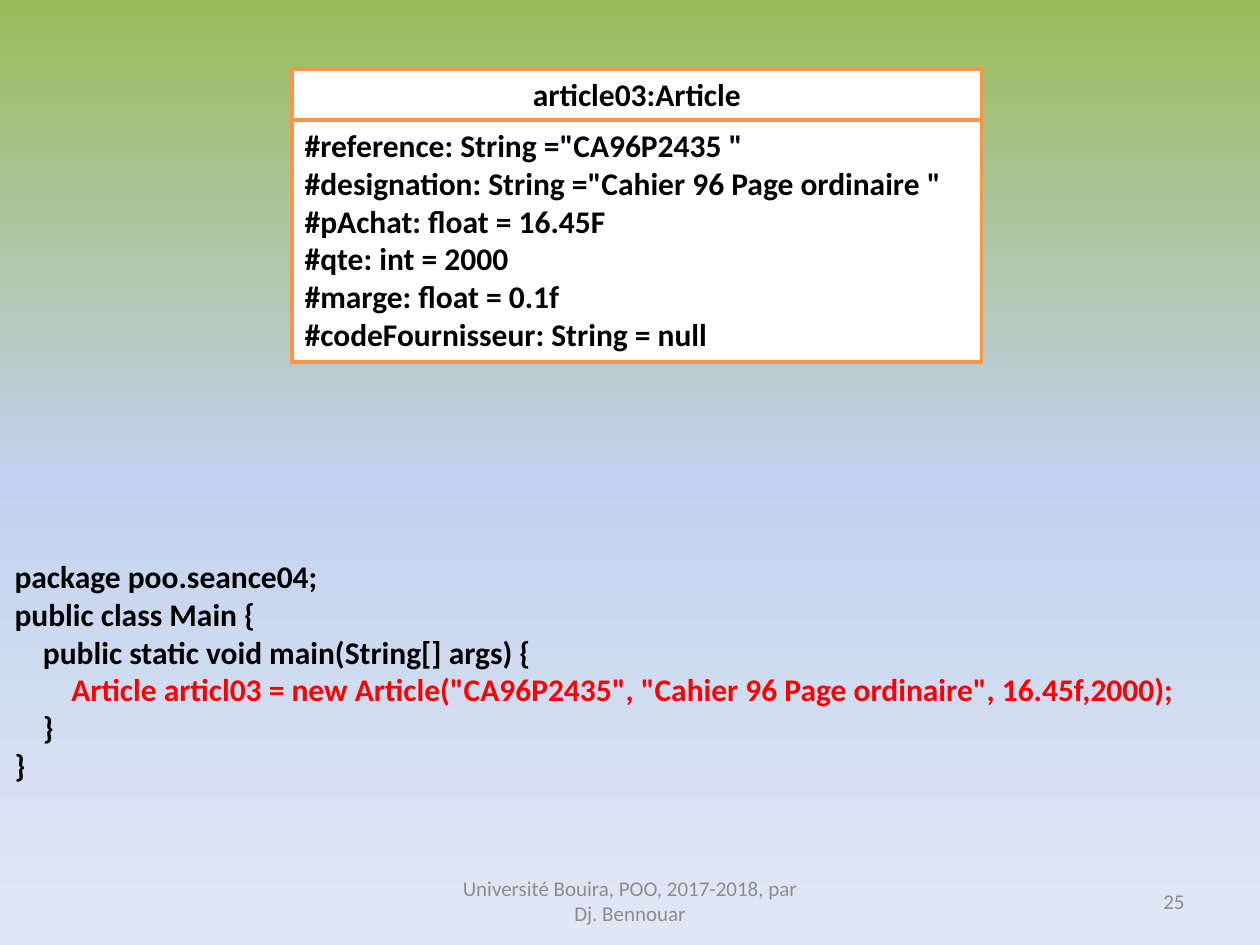
import copy

import pptx
import pptx.dml.color
import pptx.enum.shapes
import pptx.enum.text
import pptx.util

Pt = pptx.util.Pt
Align = pptx.enum.text.PP_ALIGN
Anchor = pptx.enum.text.MSO_ANCHOR

ATTRIBUTES = [
    '#reference: String ="CA96P2435 "',
    '#designation: String ="Cahier 96 Page ordinaire "',
    "#pAchat: float = 16.45F",
    "#qte: int = 2000",
    "#marge: float = 0.1f",
    "#codeFournisseur: String = null",
]
CODE = [
    "package poo.seance04;",
    "public class Main {",
    "    public static void main(String[] args) {",
    '        Article articl03 = new Article("CA96P2435", "Cahier 96 Page ordinaire", 16.45f,2000);',
    "    }",
    "}",
]


def rgb(value):
    return pptx.dml.color.RGBColor.from_string(value)


def write_text(shape, lines, size=18, color="000000", bold=True, align=Align.LEFT,
               anchor=Anchor.TOP, side_inset=7.2, highlights=None):
    """Fill a shape with one paragraph per line; highlights maps line index to colour."""
    frame = shape.text_frame
    frame.word_wrap = True
    frame.vertical_anchor = anchor
    frame.margin_left = frame.margin_right = Pt(side_inset)
    for index, line in enumerate(lines):
        paragraph = frame.paragraphs[0] if index == 0 else frame.add_paragraph()
        paragraph.alignment = align
        run = paragraph.add_run()
        run.text = line
        run.font.name = "Calibri"
        run.font.size = Pt(size)
        run.font.bold = bold
        run.font.color.rgb = rgb((highlights or {}).get(index, color))


def add_text(slide, box, lines, **text_format):
    shape = slide.shapes.add_textbox(*map(Pt, box))
    write_text(shape, lines, **text_format)


def paint_background(slide, stops, angle):
    fill = slide.background.fill
    fill.gradient()
    fill.gradient_angle = angle
    stop_list = slide.element.xpath(".//a:gsLst")[0]
    while len(stop_list) < len(stops):
        stop_list.append(copy.deepcopy(stop_list[0]))
    for stop, (position, color) in zip(fill.gradient_stops, stops):
        stop.position = position
        stop.color.rgb = rgb(color)


def add_object_diagram(slide, box, name, attributes, header_height):
    left, top, width, height = box
    group = slide.shapes.add_group_shape()
    compartments = [
        (top, header_height, [name], Align.CENTER),
        (top + header_height, height - header_height, attributes, Align.LEFT),
    ]
    for part_top, part_height, lines, align in compartments:
        shape = group.shapes.add_shape(
            pptx.enum.shapes.MSO_SHAPE.RECTANGLE,
            Pt(left), Pt(part_top), Pt(width), Pt(part_height))
        shape.shadow.inherit = False
        shape.fill.solid()
        shape.fill.fore_color.rgb = rgb("FFFFFF")
        shape.line.color.rgb = rgb("F79646")
        shape.line.width = Pt(2)
        write_text(shape, lines, align=align)


def add_footer(slide, box, text, number):
    left, top, width, height = box
    footer_format = dict(size=12, color="8C8C8C", bold=False, anchor=Anchor.MIDDLE)
    add_text(slide, (left, top, 228, height), [text], align=Align.CENTER,
             side_inset=16, **footer_format)
    number_width = 168
    add_text(slide, (left + width - number_width, top, number_width, height), [number],
             align=Align.RIGHT, **footer_format)


def main():
    presentation = pptx.Presentation()
    presentation.slide_width = Pt(720)
    presentation.slide_height = Pt(540)
    slide = presentation.slides.add_slide(presentation.slide_layouts[6])

    # Background: green fading to pale blue, top to bottom
    paint_background(slide, [(0, "9BBB59"), (0.5, "C2D1ED"), (1, "E1E8F5")], angle=270)

    # Footer and slide number
    add_footer(slide, (246, 500.5, 438, 28.75),
               "Université Bouira, POO, 2017-2018, par Dj. Bennouar", "25")

    # Code listing
    add_text(slide, (1.25, 314.75, 698, 138), CODE, highlights={3: "FF0000"})

    # Object diagram
    add_object_diagram(slide, (167, 39.5, 394, 167.25), "article03:Article",
                       ATTRIBUTES, header_height=29)

    presentation.save("out.pptx")


if __name__ == "__main__":
    main()
